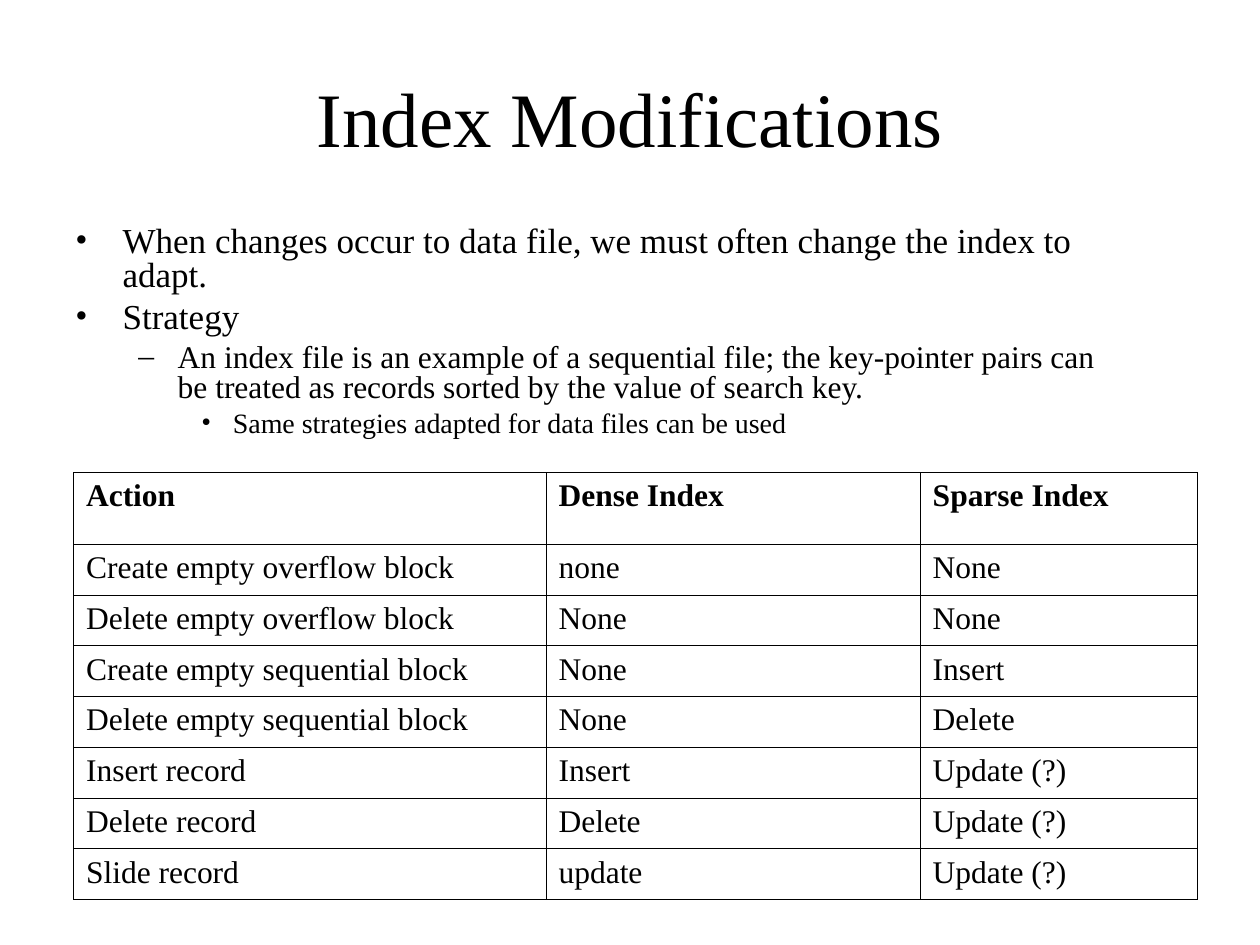
from pptx import Presentation
from pptx.dml.color import RGBColor as RGB
from pptx.enum.text import MSO_ANCHOR as Anchor, PP_ALIGN as Align
from pptx.oxml.ns import qn
from pptx.util import Pt
from lxml.etree import SubElement as Sub

TITLE = "Index Modifications"
POINTS = [
    (0, "When changes occur to data file, we must often change the index to adapt."),
    (0, "Strategy"),
    (1, "An index file is an example of a sequential file; the key-pointer pairs "
        "can be treated as records sorted by the value of search key."),
    (2, "Same strategies adapted for data files can be used"),
]
ROWS = [
    ("Action", "Dense Index", "Sparse Index"),
    ("Create empty overflow block", "none", "None"),
    ("Delete empty overflow block", "None", "None"),
    ("Create empty sequential block", "None", "Insert"),
    ("Delete empty sequential block", "None", "Delete"),
    ("Insert record", "Insert", "Update (?)"),
    ("Delete record", "Delete", "Update (?)"),
    ("Slide record", "update", "Update (?)"),
]
LEVELS = [
    {"size": 20, "left": 27, "hang": 27, "mark": "•", "gap": 5},
    {"size": 18, "left": 58.5, "hang": 22.5, "mark": "–", "gap": 4.5},
    {"size": 16, "left": 90, "hang": 18, "mark": "•", "gap": 4},
]
COLORS = {"ink": "000000", "paper": "FFFFFF"}
FONT = "Times New Roman"
WIDTHS = [270, 213.8, 158.2]
HEAD, ROW = 41, 29


def write(para, text, size, bold=False):
    run = para.add_run()
    run.text = text
    font = run.font
    font.name, font.size, font.bold = FONT, Pt(size), bold
    font.color.rgb = RGB.from_string(COLORS["ink"])


def indent(para, left, hang):
    props = para._p.get_or_add_pPr()
    props.set("marL", str(Pt(left)))
    props.set("indent", str(-Pt(hang)))
    return props


def paint(parent):
    fill = Sub(parent, qn("a:solidFill"))
    Sub(fill, qn("a:srgbClr"), val=COLORS["ink"])


def border(cell):
    props = cell._tc.get_or_add_tcPr()
    for side in ("lnL", "lnR", "lnT", "lnB"):
        paint(Sub(props, qn("a:" + side), w=str(Pt(0.45))))


def add_title(slide):
    title = slide.shapes.title
    title.left, title.top, title.width, title.height = Pt(36), Pt(21.6), Pt(648), Pt(90)
    frame = title.text_frame
    frame.vertical_anchor = Anchor.MIDDLE
    para = frame.paragraphs[0]
    para.alignment = Align.CENTER
    write(para, TITLE, 44)


def add_points(slide):
    box = slide.shapes.add_textbox(Pt(36), Pt(126), Pt(612), Pt(138))
    frame = box.text_frame
    frame.word_wrap = True
    for i, (depth, text) in enumerate(POINTS):
        look = LEVELS[depth]
        para = frame.add_paragraph() if i else frame.paragraphs[0]
        para.level = depth
        props = indent(para, look["left"], look["hang"])
        paint_mark = Sub(props, qn("a:buClr"))
        Sub(paint_mark, qn("a:srgbClr"), val=COLORS["ink"])
        Sub(props, qn("a:buFont"), typeface=FONT)
        Sub(props, qn("a:buChar"), char=look["mark"])
        para.line_spacing = 0.8
        para.space_before = Pt(look["gap"] if i else 0)
        write(para, text, look["size"])


def add_grid(slide):
    tall = HEAD + ROW * (len(ROWS) - 1)
    frame = slide.shapes.add_table(len(ROWS), len(WIDTHS), Pt(42), Pt(270),
                                   Pt(sum(WIDTHS)), Pt(tall))
    table = frame.table
    table.horz_banding = False
    for col, width in zip(table.columns, WIDTHS):
        col.width = Pt(width)
    for r, texts in enumerate(ROWS):
        table.rows[r].height = Pt(ROW if r else HEAD)
        for c, text in enumerate(texts):
            cell = table.cell(r, c)
            border(cell)
            cell.fill.solid()
            cell.fill.fore_color.rgb = RGB.from_string(COLORS["paper"])
            para = cell.text_frame.paragraphs[0]
            indent(para, 27, 27)
            write(para, text, 18, r == 0)


def main():
    deck = Presentation()
    deck.slide_width, deck.slide_height = Pt(720), Pt(540)
    slide = deck.slides.add_slide(deck.slide_layouts[5])
    add_title(slide)
    add_points(slide)
    add_grid(slide)
    deck.save("out.pptx")


if __name__ == "__main__":
    main()
